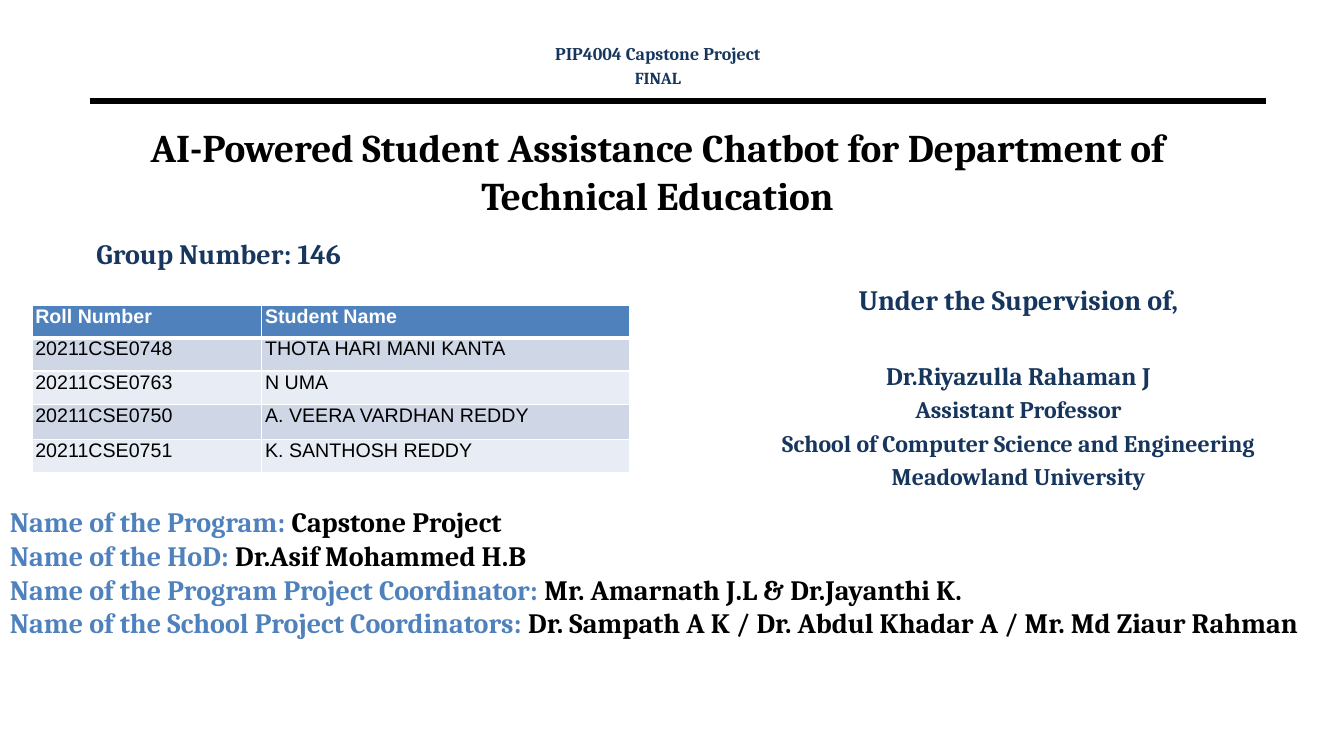
from dataclasses import dataclass

from lxml.etree import SubElement
from pptx import Presentation
from pptx.dml.color import RGBColor
from pptx.enum.shapes import MSO_CONNECTOR
from pptx.enum.text import MSO_ANCHOR, PP_ALIGN
from pptx.oxml.ns import qn
from pptx.util import Cm, Pt


@dataclass(frozen=True)
class Theme:
    serif: str = "Cambria"
    sans: str = "Arial"
    black: str = "000000"
    white: str = "FFFFFF"
    navy: str = "17365D"
    group_navy: str = "17375E"
    blue: str = "4F81BD"
    dark_band: str = "CFD7E7"
    light_band: str = "E8ECF4"
    title: float = 28
    heading: float = 20
    supervisor: float = 18
    affiliation: float = 17
    course: float = 12.8
    stage: float = 12
    table: float = 14


theme = Theme()


def add_text(left, top, width, height, lines, color, align=PP_ALIGN.LEFT):
    """Add a bold serif text box; each line is (text, size, space before)."""
    box = page.shapes.add_textbox(Cm(left), Cm(top), Cm(width), Cm(height))
    frame = box.text_frame
    frame.word_wrap = True
    for index, (text, size, gap) in enumerate(lines):
        para = frame.paragraphs[0] if index == 0 else frame.add_paragraph()
        para.text = text
        para.alignment = align
        para.space_before = Pt(gap)
        style_font(para.font, theme.serif, size, color)
    return frame


def style_font(font, name, size, color, bold=True):
    font.name = name
    font.size = Pt(size)
    font.bold = bold
    font.color.rgb = RGBColor.from_string(color)


deck = Presentation()
deck.slide_width, deck.slide_height = Cm(33.87), Cm(19.05)
page = deck.slides.add_slide(deck.slide_layouts[6])

# Header and rule
rule = page.shapes.add_connector(
    MSO_CONNECTOR.STRAIGHT, Cm(2.26), Cm(2.54), Cm(31.9), Cm(2.54))
rule.line.color.rgb = RGBColor.from_string(theme.black)
rule.line.width = Pt(4.5)
SubElement(rule._element.spPr, qn("a:effectLst"))

add_text(11.07, 0.94, 11.02, 1.52, [
    ("PIP4004 Capstone Project", theme.course, 0),
    ("FINAL", theme.stage, 3.1),
], theme.navy, PP_ALIGN.CENTER)

# Title and group
title = add_text(2.18, 2.97, 28.78, 2.67, [
    ("AI-Powered Student Assistance Chatbot for Department of Technical Education",
     theme.title, 0),
], theme.black, PP_ALIGN.CENTER)
title.vertical_anchor = MSO_ANCHOR.MIDDLE

add_text(2.18, 5.84, 11.02, 1.52,
         [("Group Number: 146", theme.heading, 0)], theme.group_navy)

# Supervisor
add_text(18.01, 6.99, 15.32, 5.61, [
    ("Under the Supervision of,", theme.heading, 0),
    ("Dr.Riyazulla Rahaman J", theme.supervisor, 31.4),
    ("Assistant Professor", theme.affiliation, 3.4),
    ("School of Computer Science and Engineering", theme.affiliation, 3.4),
    ("Meadowland University", theme.affiliation, 3.4),
], theme.navy, PP_ALIGN.CENTER)

# Programme roles: blue label, black name
roles = [
    ("Name of the Program: ", "Capstone Project"),
    ("Name of the HoD: ", "Dr.Asif Mohammed H.B"),
    ("Name of the Program Project Coordinator: ", "Mr. Amarnath J.L & Dr.Jayanthi K."),
    ("Name of the School Project Coordinators: ",
     "Dr. Sampath A K / Dr. Abdul Khadar A / Mr. Md Ziaur Rahman"),
]
role_frame = add_text(0, 12.6, 34.04, 4.34,
                      [(label, theme.heading, 0) for label, _ in roles], theme.blue)
for para, (label, person) in zip(role_frame.paragraphs, roles):
    style_font(para.runs[0].font, theme.serif, theme.heading, theme.blue)
    span = para.add_run()
    span.text = person
    style_font(span.font, theme.serif, theme.heading, theme.black)

# Student table
students = [
    ("Roll Number", "Student Name"),
    ("20211CSE0748", "THOTA HARI MANI KANTA"),
    ("20211CSE0763", "N UMA"),
    ("20211CSE0750", "A. VEERA VARDHAN REDDY"),
    ("20211CSE0751", "K. SANTHOSH REDDY"),
]
column_widths = [5.79, 9.27]
row_heights = [0.81, 0.84, 0.84, 0.89, 0.84]
table = page.shapes.add_table(
    len(students), len(column_widths), Cm(0.81), Cm(7.7),
    Cm(sum(column_widths)), Cm(sum(row_heights))).table
for column, width in zip(table.columns, column_widths):
    column.width = Cm(width)

for r, (values, height) in enumerate(zip(students, row_heights)):
    table.rows[r].height = Cm(height)
    is_header = r == 0
    band = theme.blue if is_header else (theme.light_band, theme.dark_band)[r % 2]
    thick_edge = {0: "lnB", 1: "lnT"}.get(r)
    for c, value in enumerate(values):
        cell = table.cell(r, c)
        cell.margin_left = Cm(0.08)
        cell.margin_right = cell.margin_top = cell.margin_bottom = 0
        para = cell.text_frame.paragraphs[0]
        para.text = value
        para.line_spacing = Pt(15.9)
        style_font(para.font, theme.sans, theme.table,
                   theme.white if is_header else theme.black, is_header)
        properties = cell._tc.get_or_add_tcPr()
        for edge in ("lnL", "lnR", "lnT", "lnB"):
            border = SubElement(properties, qn(f"a:{edge}"),
                                w=str(Pt(3 if edge == thick_edge else 1)))
            paint = SubElement(border, qn("a:solidFill"))
            SubElement(paint, qn("a:srgbClr"), val=theme.white)
        cell.fill.solid()
        cell.fill.fore_color.rgb = RGBColor.from_string(band)

deck.save("out.pptx")
